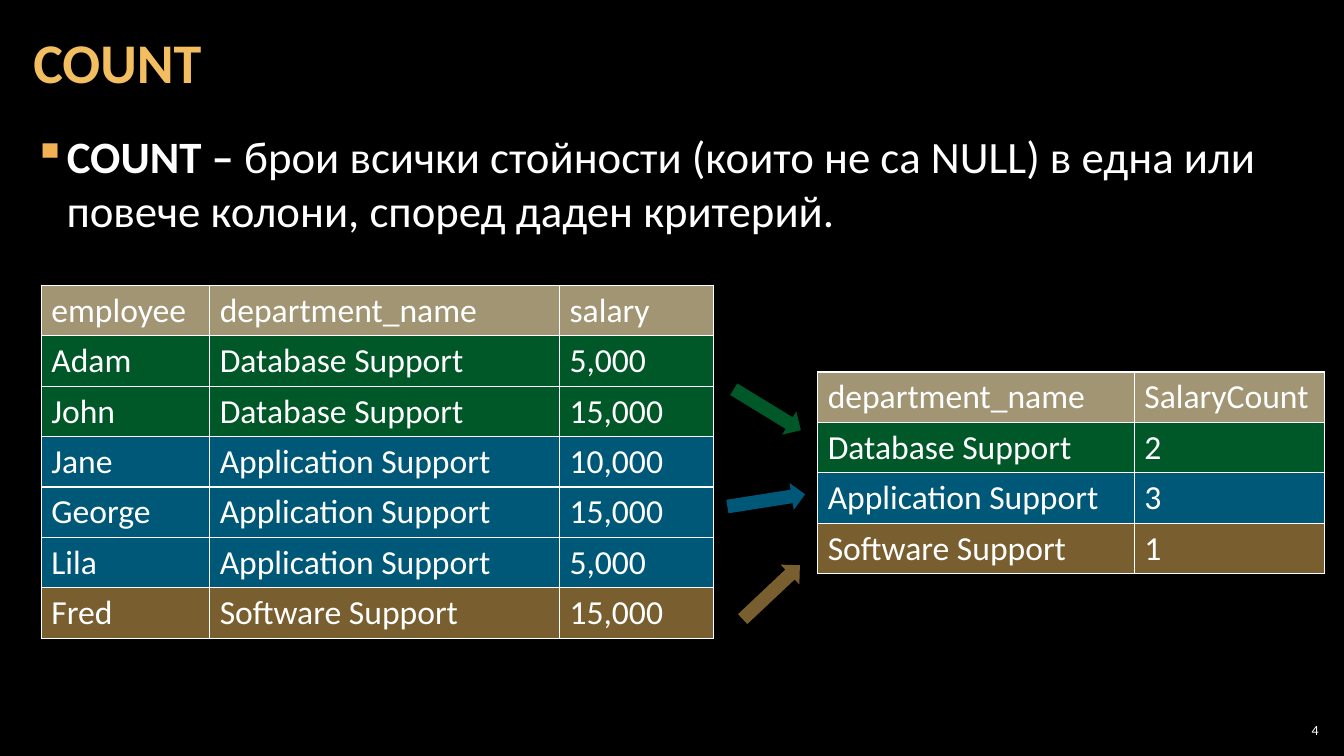
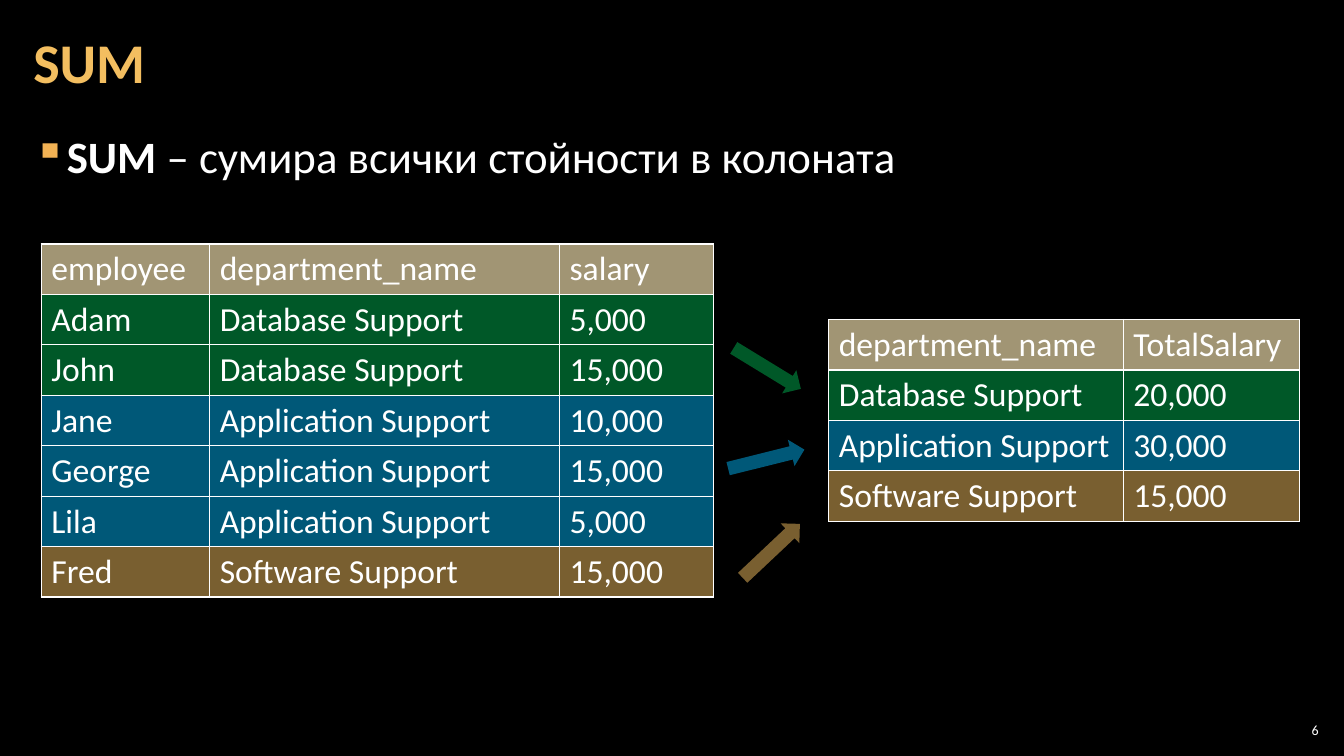
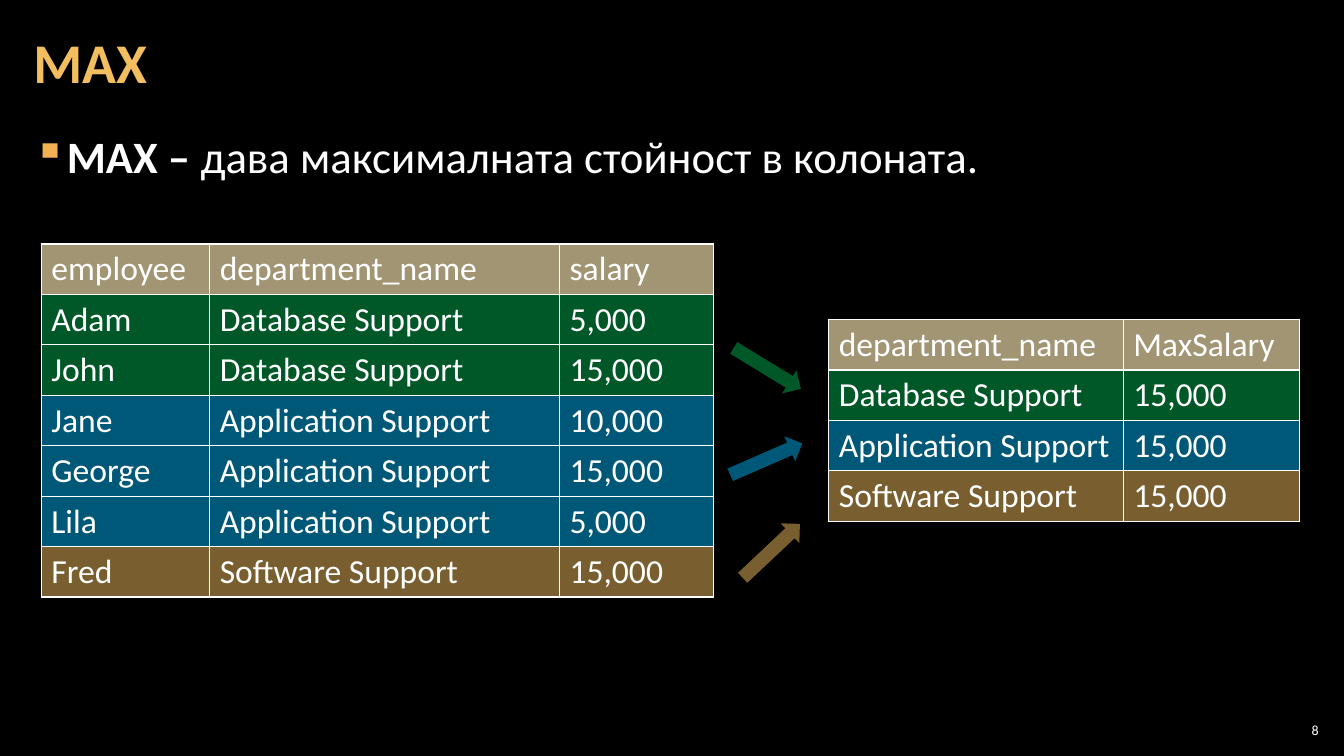
"""Build three slides that explain the SQL functions COUNT, SUM and MAX."""
from lxml.etree import SubElement
from pptx import Presentation
from pptx.dml.color import RGBColor
from pptx.enum.shapes import MSO_SHAPE
from pptx.enum.text import MSO_ANCHOR, PP_ALIGN
from pptx.oxml import parse_xml
from pptx.oxml.ns import nsdecls, qn
from pptx.util import Inches, Pt

FONT = "Calibri"
COLORS = {
    "background": "000000",
    "text": "FFFFFF",
    "title": "F3BE60",
    "bullet": "F2B254",
    "header": "A19574",
    "Database Support": "00B050",
    "Application Support": "00B0F0",
    "Software Support": "F3BE60",
}
DEPARTMENTS = ["Database Support", "Application Support", "Software Support"]
EMPLOYEES = [
    ("employee", "department_name", "salary"),
    ("Adam", "Database Support", "5,000"),
    ("John", "Database Support", "15,000"),
    ("Jane", "Application Support", "10,000"),
    ("George", "Application Support", "15,000"),
    ("Lila", "Application Support", "5,000"),
    ("Fred", "Software Support", "15,000"),
]
EMPLOYEE_WIDTHS = (1.67, 3.47, 1.53)
ROW_HEIGHT = 0.5
ARROW_SIZE = (0.78, 0.27)
ARROW_OFFSETS = [(7.22, 1.1), (7.21, 2.0), (7.26, 2.91)]

SLIDES = [
    {
        "title": "COUNT",
        "bold": "COUNT – ",
        "plain": "брои всички стойности (които не са NULL) в една или повече колони, според даден критерий.",
        "top": 2.83,
        "summary": ("SalaryCount", "2", "3", "1"),
        "summary_at": (8.11, 3.69),
        "summary_widths": (3.14, 1.89),
        "arrow_angles": (31.4, 351, 316.7),
        "number": "4",
    },
    {
        "title": "SUM",
        "bold": "SUM",
        "plain": " – сумира всички стойности в колоната",
        "top": 2.42,
        "summary": ("TotalSalary", "20,000", "30,000", "15,000"),
        "summary_at": (8.22, 3.17),
        "summary_widths": (2.92, 1.75),
        "arrow_angles": (31.4, 346, 316.7),
        "number": "6",
    },
    {
        "title": "MAX",
        "bold": "MAX –",
        "plain": " дава максималната стойност в колоната.",
        "top": 2.42,
        "summary": ("MaxSalary", "15,000", "15,000", "15,000"),
        "summary_at": (8.22, 3.17),
        "summary_widths": (2.92, 1.75),
        "arrow_angles": (31.4, 336.4, 316.7),
        "number": "8",
    },
]


def color(name):
    return RGBColor.from_string(COLORS[name])


def add_run(paragraph, text, size, color_name="text", bold=False):
    run = paragraph.add_run()
    run.text = text
    run.font.name = FONT
    run.font.size = Pt(size)
    run.font.bold = bold
    run.font.color.rgb = color(color_name)


def fill_half_transparent(properties):
    SubElement(properties.find(qn("a:solidFill")).find(qn("a:srgbClr")), qn("a:alpha"), val="50000")


def prepare_frame(shape, horizontal_margin, anchor):
    frame = shape.text_frame
    frame.word_wrap = True
    frame.vertical_anchor = anchor
    frame.margin_left = frame.margin_right = Inches(horizontal_margin)
    frame.margin_top = frame.margin_bottom = Inches(0.04)
    return frame.paragraphs[0]


def add_title(slide, text):
    title = slide.shapes.title
    title.left, title.top, title.width, title.height = map(Inches, (0.21, 0.04, 12.91, 1.21))
    paragraph = prepare_frame(title, 0.12, MSO_ANCHOR.MIDDLE)
    paragraph.alignment = PP_ALIGN.LEFT
    paragraph.line_spacing = 0.9
    add_run(paragraph, text, 40, "title", True)


def add_definition(slide, bold_text, plain_text):
    box = slide.shapes.add_textbox(*map(Inches, (0.21, 1.24, 12.91, 1.3)))
    paragraph = prepare_frame(box, 0.12, MSO_ANCHOR.TOP)
    properties = paragraph._p.get_or_add_pPr()
    properties.set("marL", str(Inches(0.33)))
    properties.set("indent", str(-Inches(0.33)))
    bullet_color = SubElement(properties, qn("a:buClr"))
    SubElement(bullet_color, qn("a:srgbClr"), val=COLORS["bullet"])
    SubElement(properties, qn("a:buChar"), char="▪")
    paragraph.space_after = Pt(6)
    add_run(paragraph, bold_text, 32, bold=True)
    add_run(paragraph, plain_text, 32)


def add_borders(cell_properties):
    for position, side in enumerate(("lnL", "lnR", "lnT", "lnB")):
        border = parse_xml(
            f'<a:{side} {nsdecls("a")} w="{Pt(1)}"><a:solidFill>'
            f'<a:srgbClr val="{COLORS["text"]}"/></a:solidFill></a:{side}>'
        )
        cell_properties.insert(position, border)


def add_grid(slide, rows, left, top, widths):
    size = (sum(widths), ROW_HEIGHT * len(rows))
    frame = slide.shapes.add_table(len(rows), len(widths), *map(Inches, (left, top, *size)))
    table = frame.table
    table.first_row = table.horz_banding = False
    for column, width in zip(table.columns, widths):
        column.width = Inches(width)
    for row, values in zip(table.rows, rows):
        row.height = Inches(ROW_HEIGHT)
        department = next((value for value in values if value in DEPARTMENTS), None)
        for cell, value in zip(row.cells, values):
            add_run(cell.text_frame.paragraphs[0], value, 24)
            cell.fill.solid()
            cell.fill.fore_color.rgb = color(department or "header")
            properties = cell._tc.get_or_add_tcPr()
            if department:
                fill_half_transparent(properties)
            add_borders(properties)


def add_arrow(slide, left, top, angle, department):
    arrow = slide.shapes.add_shape(MSO_SHAPE.RIGHT_ARROW, *map(Inches, (left, top, *ARROW_SIZE)))
    arrow.rotation = angle
    arrow.shadow.inherit = False
    arrow.fill.solid()
    arrow.fill.fore_color.rgb = color(department)
    fill_half_transparent(arrow.element.spPr)
    arrow.line.fill.background()


def add_number(slide, number):
    box = slide.shapes.add_textbox(*map(Inches, (12.65, 7.14, 0.47, 0.21)))
    paragraph = prepare_frame(box, 0.04, MSO_ANCHOR.MIDDLE)
    paragraph.alignment = PP_ALIGN.RIGHT
    add_run(paragraph, number, 10)


def build_slide(presentation, content):
    slide = presentation.slides.add_slide(presentation.slide_layouts.get_by_name("Title Only"))
    add_title(slide, content["title"])
    add_definition(slide, content["bold"], content["plain"])
    add_grid(slide, EMPLOYEES, 0.41, content["top"], EMPLOYEE_WIDTHS)
    summary = list(zip(["department_name", *DEPARTMENTS], content["summary"]))
    add_grid(slide, summary, *content["summary_at"], content["summary_widths"])
    for (left, offset), angle, department in zip(ARROW_OFFSETS, content["arrow_angles"], DEPARTMENTS):
        add_arrow(slide, left, content["top"] + offset, angle, department)
    add_number(slide, content["number"])


def main():
    presentation = Presentation()
    presentation.slide_width = Inches(13.33)
    presentation.slide_height = Inches(7.5)
    background = presentation.slide_master.background.fill
    background.solid()
    background.fore_color.rgb = color("background")
    for content in SLIDES:
        build_slide(presentation, content)
    presentation.save("out.pptx")


if __name__ == "__main__":
    main()
